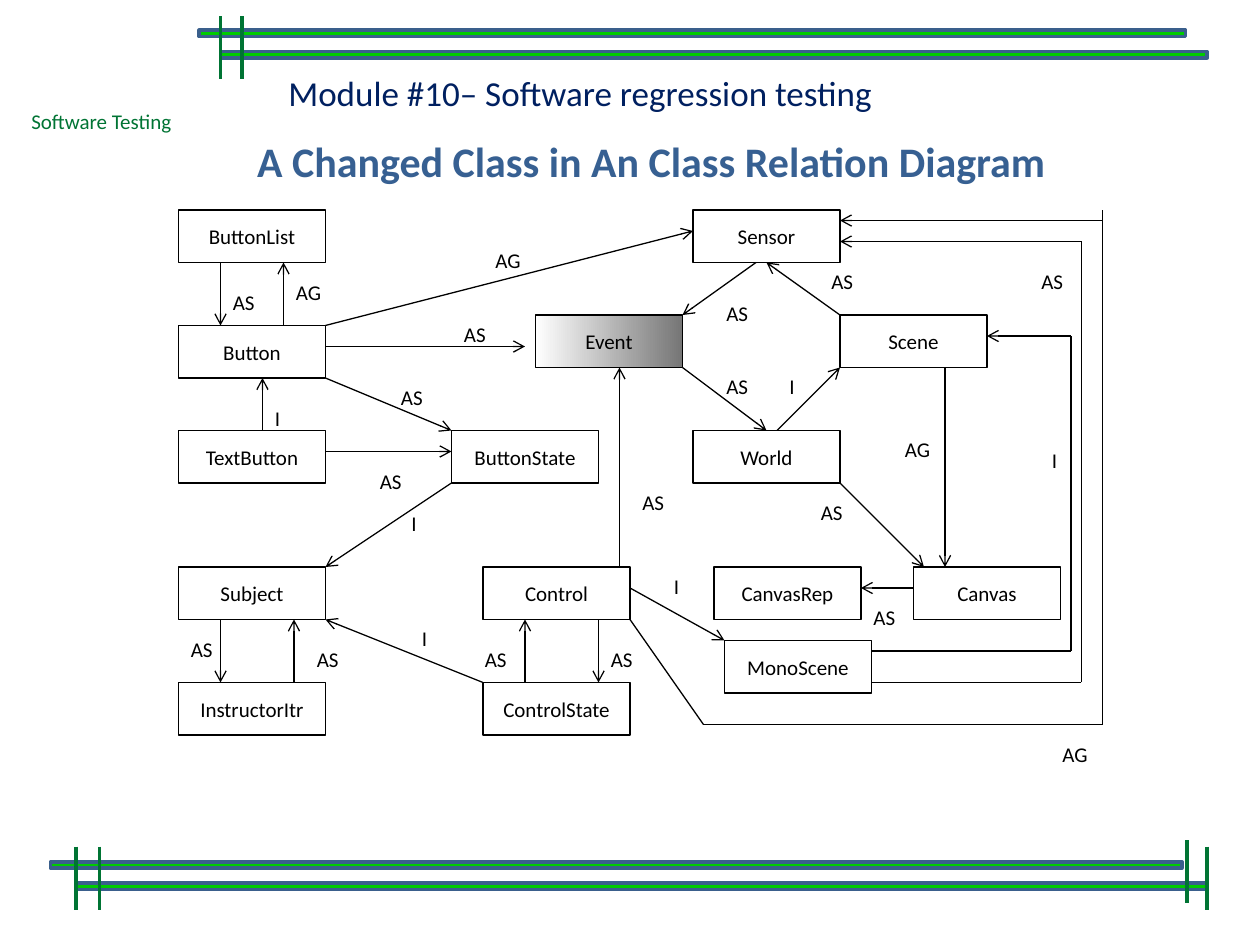
"""Build a slide with the class relation diagram of a changed class."""
from dataclasses import dataclass

from lxml import etree
from pptx import Presentation
from pptx.dml.color import RGBColor
from pptx.enum.shapes import MSO_CONNECTOR, MSO_SHAPE
from pptx.enum.text import MSO_ANCHOR, PP_ALIGN
from pptx.oxml.ns import qn
from pptx.util import Inches, Pt

STRAIGHT = MSO_CONNECTOR.STRAIGHT
RECTANGLE, PROCESS = MSO_SHAPE.RECTANGLE, MSO_SHAPE.FLOWCHART_PROCESS
MIDDLE, TOP_ANCHOR = MSO_ANCHOR.MIDDLE, MSO_ANCHOR.TOP
LEFT, CENTER = PP_ALIGN.LEFT, PP_ALIGN.CENTER
TOP_SIDE, BOTTOM_SIDE = 0, 2


@dataclass(frozen=True)
class Theme:
    font: str = "Calibri"
    ink: str = "000000"
    paper: str = "FFFFFF"
    shade: str = "767676"
    green: str = "007434"
    rail_fill: str = "00CC00"
    rail_line: str = "3A5F8C"
    module: str = "002060"
    title: str = "376092"
    body_size: float = 12
    module_size: float = 20
    title_size: float = 24
    thin: float = 0.75
    rail_width: float = 2
    post_width: float = 2.25


class Diagram:
    def __init__(self, slide, theme):
        self.shapes = slide.shapes
        self.theme = theme
        self.classes = {}

    def set_text(self, shape, text, size, color, align=LEFT, anchor=TOP_ANCHOR, wrap=False, bold=False):
        frame = shape.text_frame
        frame.text = text
        frame.word_wrap = wrap
        frame.vertical_anchor = anchor
        paragraph = frame.paragraphs[0]
        paragraph.alignment = align
        font = paragraph.runs[0].font
        font.name, font.size, font.bold = self.theme.font, Pt(size), bold
        font.color.rgb = RGBColor.from_string(color)

    def panel(self, kind, place, fill, line=None, width=0):
        shape = self.shapes.add_shape(kind, *map(Inches, place))
        shape.shadow.inherit = False
        shape.fill.solid()
        shape.fill.fore_color.rgb = RGBColor.from_string(fill)
        if line:
            shape.line.color.rgb = RGBColor.from_string(line)
            shape.line.width = Pt(width)
        else:
            shape.line.fill.background()
        return shape

    def rail(self, left, top, width):
        self.panel(PROCESS, (left, top, width, 0.05), self.theme.rail_fill,
                   self.theme.rail_line, self.theme.rail_width)

    def line(self, start, end, color, width, arrow=False):
        connector = self.shapes.add_connector(STRAIGHT, *map(Inches, (*start, *end)))
        connector.line.color.rgb = RGBColor.from_string(color)
        connector.line.width = Pt(width)
        properties = connector.element.spPr
        if arrow:
            etree.SubElement(properties.find(qn("a:ln")), qn("a:tailEnd"), type="arrow")
        etree.SubElement(properties, qn("a:effectLst"))
        return connector

    def post(self, left, top):
        self.line((left, top), (left, top + 0.5), self.theme.green, self.theme.post_width)

    def text(self, text, place, color):
        box = self.shapes.add_textbox(*map(Inches, place))
        self.set_text(box, text, self.theme.body_size, color)

    def class_box(self, name, column, row, changed=False):
        theme = self.theme
        place = [units * GRID for units in (column, row, 14, 5)]
        box = self.panel(RECTANGLE, place, theme.paper, theme.ink, theme.thin)
        if changed:
            box.fill.gradient()
            box.fill.gradient_angle = 0
            for stop, color in zip(box.fill.gradient_stops, (theme.paper, theme.shade)):
                stop.color.rgb = RGBColor.from_string(color)
        self.set_text(box, name, theme.body_size, theme.ink, CENTER, MIDDLE)
        self.classes[name] = box

    def route(self, points, arrow=True, target=None):
        inches = [(x * GRID, y * GRID) for x, y in points]
        last = len(inches) - 1
        for i in range(last):
            segment = self.line(inches[i], inches[i + 1], self.theme.ink, self.theme.thin,
                                arrow and i + 1 == last)
        if target:
            name, side = target
            segment.end_connect(self.classes[name], side)

    def relation_label(self, text, column, row):
        place = (column * GRID, row * GRID, LABEL_WIDTHS[text], 0.3)
        self.text(text, place, self.theme.ink)


GRID = 1 / 12
LABEL_WIDTHS = {"AS": 0.38, "AG": 0.41, "I": 0.24}

RAILS = [(1.58, 0.24, 7.83), (1.75, 0.41, 7.83), (0.4, 6.84, 8.98), (0.6, 7.01, 8.98)]
POSTS = [(1.75, 0.13), (1.92, 0.13), (0.6, 6.72), (0.79, 6.72), (9.58, 6.72), (9.42, 6.67)]

CLASSES = {
    "ButtonList": (17, 20), "Button": (17, 31), "Sensor": (66, 20),
    "TextButton": (17, 41), "Subject": (17, 54), "InstructorItr": (17, 65),
    "ButtonState": (43, 41), "Event": (51, 30), "Scene": (80, 30),
    "World": (66, 41), "Control": (46, 54), "ControlState": (46, 65),
    "CanvasRep": (68, 54), "Canvas": (87, 54), "MonoScene": (69, 61),
}
CHANGED_CLASS = "Event"

RELATIONS = [
    [(72, 25), (65, 30)],
    [(74, 41), (80, 35)],
    [(90, 35), (90, 54)],
    [(80, 46), (88, 54)],
    [(87, 56), (82, 56)],
    [(21, 25), (21, 31)],
    [(27, 31), (27, 25)],
    [(25, 41), (25, 36)],
    [(31, 43), (43, 43)],
    [(31, 36), (43, 41)],
    [(31, 33), (50, 33)],
    [(31, 31), (66, 22)],
    [(59, 54), (59, 35)],
    [(50, 65), (50, 59)],
    [(57, 59), (57, 65)],
    [(21, 59), (21, 65)],
    [(28, 65), (28, 59)],
    [(43, 46), (31, 54)],
    [(46, 65), (31, 59)],
    [(60, 56), (69, 61)],
    [(83, 62), (102, 62), (102, 32), (94, 32)],
    [(83, 65), (103, 65), (103, 23), (80, 23)],
    [(105, 21), (80, 21)],
]
JOINED_RELATIONS = [
    ([(80, 30), (73, 25)], ("Sensor", BOTTOM_SIDE)),
    ([(65, 35), (73, 41)], ("World", TOP_SIDE)),
]
CONTROL_TO_SENSOR = [(60, 59), (67, 69), (105, 69), (105, 20)]

LABELS = {
    "AS": [(21, 27), (68, 28), (78, 25), (68, 35), (98, 25), (82, 57), (29, 61), (17, 60),
           (35, 44), (37, 36), (43, 30), (57, 61), (45, 61), (60, 46), (77, 47)],
    "AG": [(27, 26), (85, 41), (46, 23), (100, 70)],
    "I": [(38, 48), (25, 38), (39, 59), (63, 54), (99, 42), (74, 35)],
}


def main():
    presentation = Presentation()
    presentation.slide_width, presentation.slide_height = Inches(10), Inches(7.5)
    theme = Theme()
    diagram = Diagram(presentation.slides.add_slide(presentation.slide_layouts[6]), theme)

    diagram.text("Software Testing", (0.15, 0.81, 1.33, 0.3), theme.green)
    for rail in RAILS:
        diagram.rail(*rail)
    for post in POSTS:
        diagram.post(*post)

    module = diagram.panel(RECTANGLE, (2.19, 0.52, 6.34, 0.44), theme.paper)
    diagram.set_text(module, "Module #10– Software regression testing",
                     theme.module_size, theme.module, wrap=True)
    title = diagram.panel(RECTANGLE, (1.67, 1, 7, 0.55), theme.paper)
    diagram.set_text(title, "A Changed Class in An Class Relation Diagram", theme.title_size,
                     theme.title, CENTER, MIDDLE, wrap=True, bold=True)

    for name, (column, row) in CLASSES.items():
        diagram.class_box(name, column, row, name == CHANGED_CLASS)
    for points in RELATIONS:
        diagram.route(points)
    for points, target in JOINED_RELATIONS:
        diagram.route(points, target=target)
    diagram.route(CONTROL_TO_SENSOR, arrow=False)
    for text, spots in LABELS.items():
        for column, row in spots:
            diagram.relation_label(text, column, row)

    presentation.save("out.pptx")


if __name__ == "__main__":
    main()
